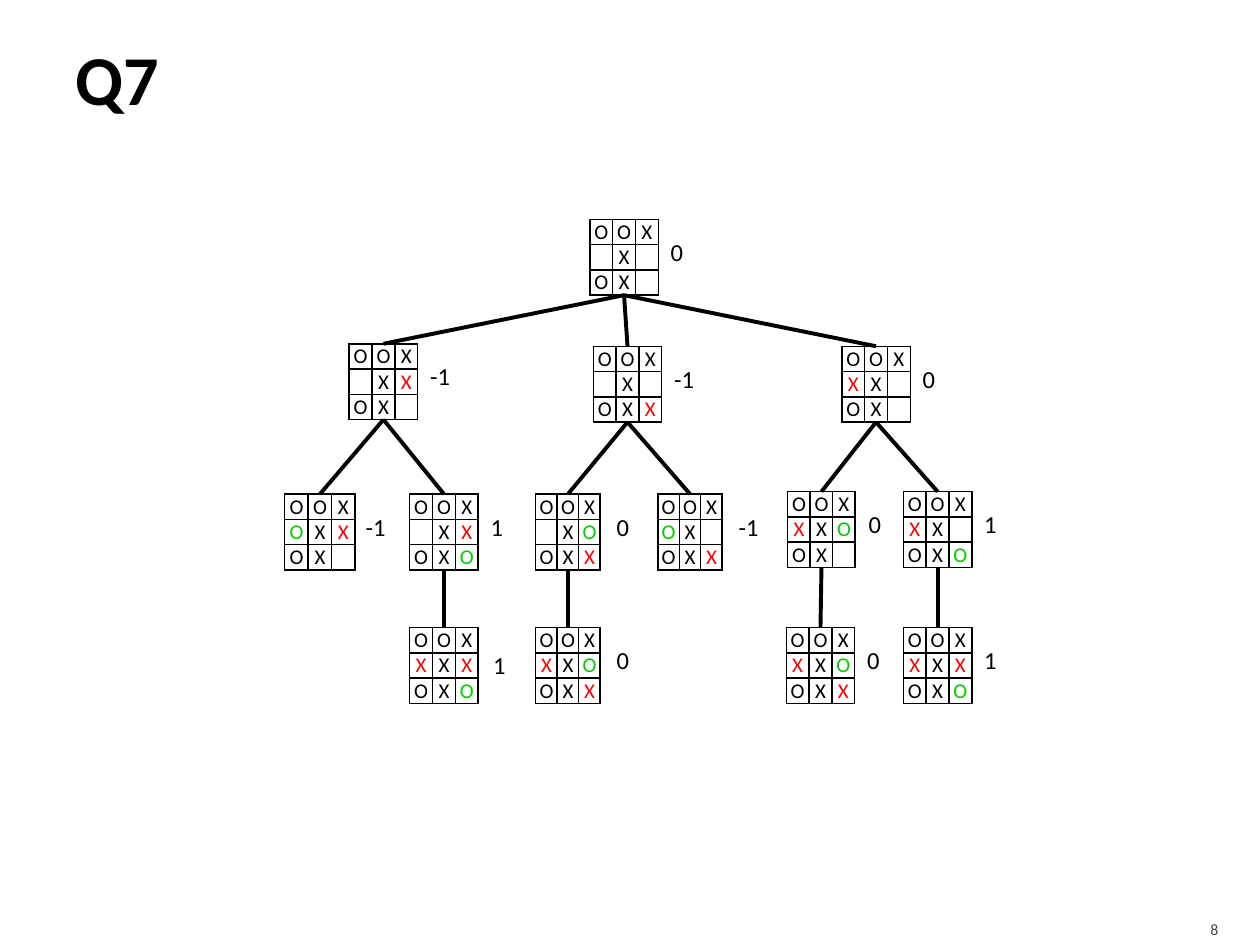
from lxml.etree import SubElement
from pptx import Presentation
from pptx.dml.color import RGBColor
from pptx.enum.shapes import MSO_CONNECTOR
from pptx.enum.text import MSO_ANCHOR, MSO_AUTO_SIZE, PP_ALIGN
from pptx.oxml.ns import qn
from pptx.util import Cm, Pt

FONT = "Calibri"
COLORS = {"ink": "000000", "x move": "FF0000", "o move": "00CC00", "page": "454545"}
ROW_HEIGHT = 0.51
BOARD_HEIGHT = 3 * ROW_HEIGHT
SCORE_DX, SCORE_DY = 1.38, 0.23

# Game tree: left, top, width in cm; rows (lower case marks a new move); score
BOARDS = {
    "root": (11.89, 4.42, 1.38, "OOX .X. OX.", "0"),
    "left": (7.04, 6.93, 1.38, "OOX .Xx OX.", "-1"),
    "mid": (11.96, 6.98, 1.38, "OOX .X. OXx", "-1"),
    "right": (16.97, 6.98, 1.38, "OOX xX. OX.", "0"),
    "left a": (5.74, 9.96, 1.42, "OOX oXx OX.", "-1"),
    "left b": (8.26, 9.96, 1.38, "OOX .Xx OXo", "1"),
    "left b end": (8.26, 12.65, 1.38, "OOX xXx OXo", "1"),
    "mid a": (10.8, 9.96, 1.3, "OOX .Xo OXx", "0"),
    "mid b": (13.26, 9.96, 1.3, "OOX oX. OXx", "-1"),
    "mid a end": (10.8, 12.65, 1.3, "OOX xXo OXx", "0"),
    "right a": (15.88, 9.91, 1.36, "OOX xXo OX.", "0"),
    "right b": (18.21, 9.91, 1.38, "OOX xX. OXo", "1"),
    "right a end": (15.85, 12.65, 1.38, "OOX xXo OXx", "0"),
    "right b end": (18.21, 12.65, 1.38, "OOX xXx OXo", "1"),
}
SCORE_NUDGE = {"left b end": (0.05, 0.1)}
CHILDREN = {
    "root": ["left", "mid", "right"],
    "left": ["left a", "left b"],
    "mid": ["mid a", "mid b"],
    "right": ["right a", "right b"],
    "left b": ["left b end"],
    "mid a": ["mid a end"],
    "right a": ["right a end"],
    "right b": ["right b end"],
}


def style(paragraph, size, color="ink", bold=False):
    for run in paragraph.runs:
        run.font.name = FONT
        run.font.size = Pt(size)
        run.font.bold = bold
        run.font.color.rgb = RGBColor.from_string(COLORS[color])


def add_borders(cell):
    properties = cell._tc.get_or_add_tcPr()
    for position, side in enumerate(("a:lnL", "a:lnR", "a:lnT", "a:lnB")):
        border = SubElement(properties, qn(side), w=str(Pt(1)))
        fill = SubElement(border, qn("a:solidFill"))
        SubElement(fill, qn("a:srgbClr"), val=COLORS["ink"])
        properties.insert(position, border)


def fill_square(cell, mark):
    cell.margin_left = cell.margin_right = cell.margin_top = cell.margin_bottom = 0
    cell.vertical_anchor = MSO_ANCHOR.MIDDLE
    cell.fill.background()
    add_borders(cell)
    paragraph = cell.text_frame.paragraphs[0]
    paragraph.alignment = PP_ALIGN.CENTER
    if mark == ".":
        # An empty square needs the small size too, or its row grows
        SubElement(paragraph._p, qn("a:endParaRPr"), sz="1200")
    else:
        paragraph.text = mark.upper()
        style(paragraph, 12, f"{mark} move" if mark.islower() else "ink")


def add_board(slide, left, top, width, rows):
    board = slide.shapes.add_table(
        3, 3, Cm(left), Cm(top), Cm(width), Cm(BOARD_HEIGHT)).table
    board.first_row = board.horz_banding = False
    for column in board.columns:
        column.width = Cm(width / 3)
    for r, marks in enumerate(rows.split()):
        board.rows[r].height = Cm(ROW_HEIGHT)
        for c, mark in enumerate(marks):
            fill_square(board.cell(r, c), mark)


def add_score(slide, left, top, score):
    width = 0.91 if len(score) > 1 else 0.76
    frame = slide.shapes.add_textbox(Cm(left), Cm(top), Cm(width), Cm(0.86)).text_frame
    frame.word_wrap = False
    frame.auto_size = MSO_AUTO_SIZE.SHAPE_TO_FIT_TEXT
    frame.text = score
    style(frame.paragraphs[0], 14)


def add_branch(slide, parent, child):
    x1, y1, parent_width = BOARDS[parent][:3]
    x2, y2, child_width = BOARDS[child][:3]
    branch = slide.shapes.add_connector(
        MSO_CONNECTOR.STRAIGHT,
        Cm(x1 + parent_width / 2), Cm(y1 + BOARD_HEIGHT),
        Cm(x2 + child_width / 2), Cm(y2))
    branch.line.color.rgb = RGBColor.from_string(COLORS["ink"])
    branch.line.width = Pt(2.25)
    SubElement(branch._element.spPr, qn("a:effectLst"))


def set_title(slide, text):
    title = slide.shapes.title
    title.left, title.top, title.width, title.height = Cm(1.27), Cm(0.2), Cm(22.86), Cm(2.74)
    frame = title.text_frame
    frame.margin_left = Cm(0.25)
    frame.margin_right = frame.margin_top = frame.margin_bottom = Cm(0.13)
    frame.vertical_anchor = MSO_ANCHOR.MIDDLE
    frame.text = text
    frame.paragraphs[0].alignment = PP_ALIGN.LEFT
    style(frame.paragraphs[0], 40, bold=True)


def add_page_number(slide, number):
    frame = slide.shapes.add_textbox(Cm(22.78), Cm(18.29), Cm(2.03), Cm(0.76)).text_frame
    frame.word_wrap = True
    frame.margin_bottom = 0
    frame.vertical_anchor = MSO_ANCHOR.MIDDLE
    frame.text = number
    frame.paragraphs[0].alignment = PP_ALIGN.RIGHT
    style(frame.paragraphs[0], 9, "page")


def main():
    deck = Presentation()
    deck.slide_width, deck.slide_height = Cm(25.4), Cm(19.05)
    slide = deck.slides.add_slide(deck.slide_layouts[5])
    set_title(slide, "Q7")
    add_page_number(slide, "8")

    # Boards with their scores
    for name, (left, top, width, rows, score) in BOARDS.items():
        add_board(slide, left, top, width, rows)
        dx, dy = SCORE_NUDGE.get(name, (0, 0))
        add_score(slide, left + SCORE_DX + dx, top + SCORE_DY + dy, score)

    # Branches of the tree
    for parent, children in CHILDREN.items():
        for child in children:
            add_branch(slide, parent, child)

    deck.save("out.pptx")


if __name__ == "__main__":
    main()
